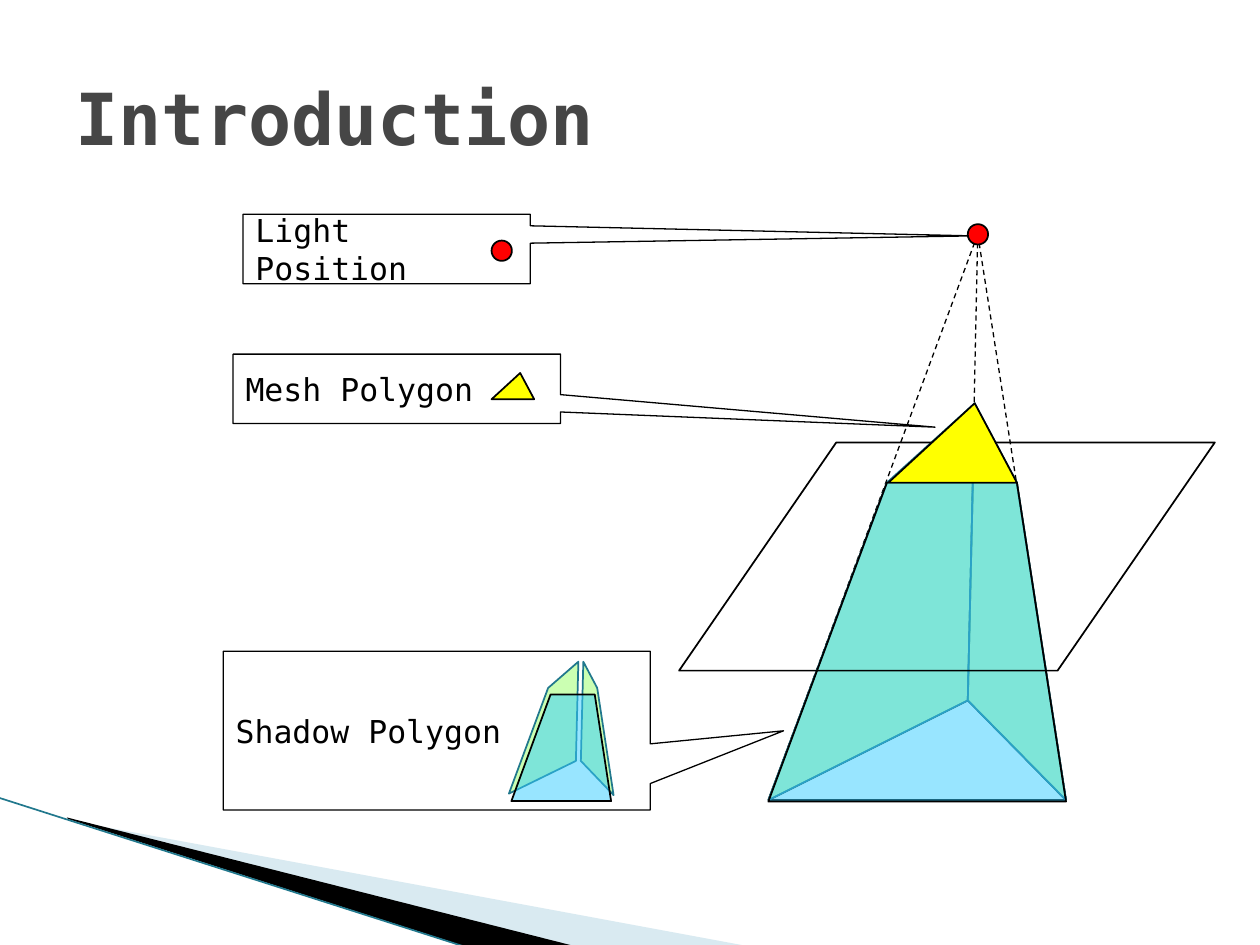
from lxml.etree import SubElement
from pptx import Presentation
from pptx.dml.color import RGBColor
from pptx.enum.dml import MSO_LINE
from pptx.enum.shapes import MSO_CONNECTOR, MSO_SHAPE
from pptx.enum.text import MSO_ANCHOR, PP_ALIGN
from pptx.oxml.ns import qn
from pptx.util import Cm, Pt

COLORS = {
    "black": "000000",
    "title": "464646",
    "teal": "21788D",
    "pale blue": "A0CBDC",
    "green": "99FF66",
    "blue": "33CCFF",
    "yellow": "FFFF00",
    "red": "FF0000",
}
FONT = "DejaVu Sans Mono"


def rgb(name):
    return RGBColor.from_string(COLORS[name])


class SlidePainter:
    """Holds the slide and its style; all positions are in centimetres."""

    def __init__(self, slide):
        self.slide = slide
        self.shapes = slide.shapes

    def style(self, shape, fill=None, line=None, width=1, opacity=None):
        shape.shadow.inherit = False
        if fill:
            shape.fill.solid()
            shape.fill.fore_color.rgb = rgb(fill)
            if opacity:
                color = shape._element.spPr.find(qn("a:solidFill"))[0]
                SubElement(color, qn("a:alpha")).set("val", str(opacity * 1000))
        else:
            shape.fill.background()
        if line:
            shape.line.color.rgb = rgb(line)
            shape.line.width = Pt(width)
        else:
            shape.line.fill.background()

    def set_text(self, frame, text, size, color, bold=False):
        frame.text = text
        frame.word_wrap = True
        frame.vertical_anchor = MSO_ANCHOR.MIDDLE
        paragraph = frame.paragraphs[0]
        paragraph.alignment = PP_ALIGN.LEFT
        font = paragraph.font
        font.name, font.size, font.bold = FONT, Pt(size), bold
        font.color.rgb = rgb(color)

    def title(self, text, left, top, width, height):
        title = self.shapes.title
        title.left, title.top = Cm(left), Cm(top)
        title.width, title.height = Cm(width), Cm(height)
        self.set_text(title.text_frame, text, 41, "title", bold=True)

    def preset(self, kind, box, adjustments=(), **style):
        shape = self.shapes.add_shape(kind, *map(Cm, box))
        for index, value in enumerate(adjustments):
            shape.adjustments[index] = value
        self.style(shape, **style)
        return shape

    def callout(self, text, box, tip):
        shape = self.preset(MSO_SHAPE.RECTANGULAR_CALLOUT, box, tip,
                            line="black", width=0.75)
        self.set_text(shape.text_frame, text, 18, "black")

    def light(self, left, top):
        self.preset(MSO_SHAPE.OVAL, (left, top, 0.41, 0.41), fill="red", line="black")

    def mesh(self, *box):
        self.preset(MSO_SHAPE.ISOSCELES_TRIANGLE, box, [0.672],
                    fill="yellow", line="black")

    def polygon(self, points, **style):
        start, *others = [(Cm(x), Cm(y)) for x, y in points]
        builder = self.shapes.build_freeform(*start)
        builder.add_line_segments(others)
        self.style(builder.convert_to_shape(), **style)

    def line(self, start, end, color="black", width=1, dashed=False):
        connector = self.shapes.add_connector(
            MSO_CONNECTOR.STRAIGHT, *map(Cm, start + end))
        connector.line.color.rgb = rgb(color)
        connector.line.width = Pt(width)
        if dashed:
            connector.line.dash_style = MSO_LINE.DASH
        SubElement(connector._element.spPr, qn("a:effectLst"))

    def shadow_sides(self, left, right, front):
        """Draw the two far sides of a shadow volume, then its near side."""
        for side in (left, right):
            self.polygon(side, fill="green", line="teal", opacity=50)
        self.polygon(front, fill="blue", line="black", opacity=50)


def draw_corner(painter):
    painter.polygon([(1.4, 16.54), (15.11, 19.08), (11.58, 19.08), (1.4, 16.51)],
                    fill="pale blue", opacity=40)
    painter.polygon([(1.35, 16.48), (11.61, 19.08), (9.45, 19.1), (1.37, 16.51)],
                    fill="black")
    painter.line((-0.03, 16.08), (9.42, 19.1), "teal", 0.95)


def draw_shadow_volume(painter):
    light = (19.71, 4.72)
    mesh_left, mesh_right, mesh_apex = (17.88, 9.73), (20.5, 9.73), (19.65, 8.13)
    base_left, base_right, base_back = (15.49, 16.13), (21.49, 16.13), (19.51, 14.12)

    for corner in (base_left, base_right, base_back):
        painter.line(light, corner, width=0.75, dashed=True)
    for start, end in [(base_right, base_left), (base_back, base_left),
                       (base_back, base_right), (mesh_apex, base_back),
                       (mesh_left, base_left), (mesh_right, base_right)]:
        painter.line(start, end)
    painter.shadow_sides(
        [mesh_left, base_left, base_back, mesh_apex],
        [mesh_apex, base_back, base_right, mesh_right],
        [mesh_left, (15.49, 16.16), (21.49, 16.16), mesh_right])


def draw_legend(painter):
    painter.callout("Light Position", (4.9, 4.32, 5.79, 1.4), (2.04, -0.188))
    painter.callout("Mesh Polygon", (4.7, 7.14, 6.6, 1.4), (1.644, 0.552))
    painter.shadow_sides(
        [(11.05, 13.87), (10.26, 16), (11.61, 15.34), (11.66, 13.34)],
        [(11.76, 13.34), (11.71, 15.34), (12.37, 16.03), (12.04, 13.87)],
        [(11.1, 14), (10.31, 16.15), (12.32, 16.15), (11.99, 14)])
    painter.mesh(9.91, 7.52, 0.86, 0.53)
    painter.callout("Shadow Polygon", (4.5, 13.13, 8.61, 3.2), (0.812, 0.001))


def main():
    presentation = Presentation()
    presentation.slide_width, presentation.slide_height = Cm(25.4), Cm(19.05)
    slide = presentation.slides.add_slide(presentation.slide_layouts[5])
    painter = SlidePainter(slide)

    draw_corner(painter)
    painter.title("Introduction", 1.27, 0.76, 22.86, 3.18)
    draw_shadow_volume(painter)
    draw_legend(painter)
    painter.light(19.51, 4.52)
    painter.light(9.91, 4.85)
    painter.preset(MSO_SHAPE.PARALLELOGRAM, (13.69, 8.92, 10.8, 4.6), [0.689],
                   line="black")
    painter.mesh(17.91, 8.13, 2.59, 1.6)

    presentation.save("out.pptx")


if __name__ == "__main__":
    main()
